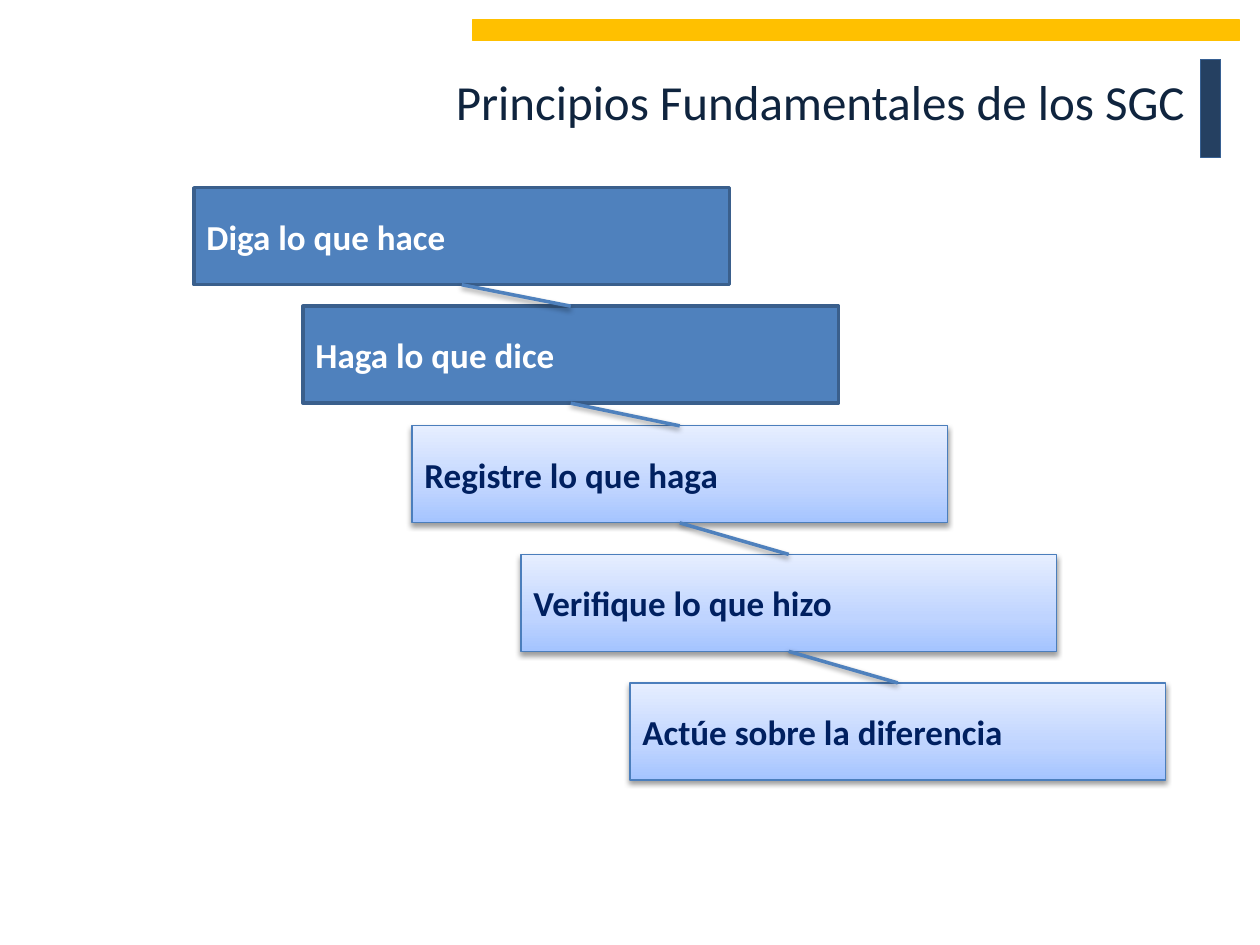
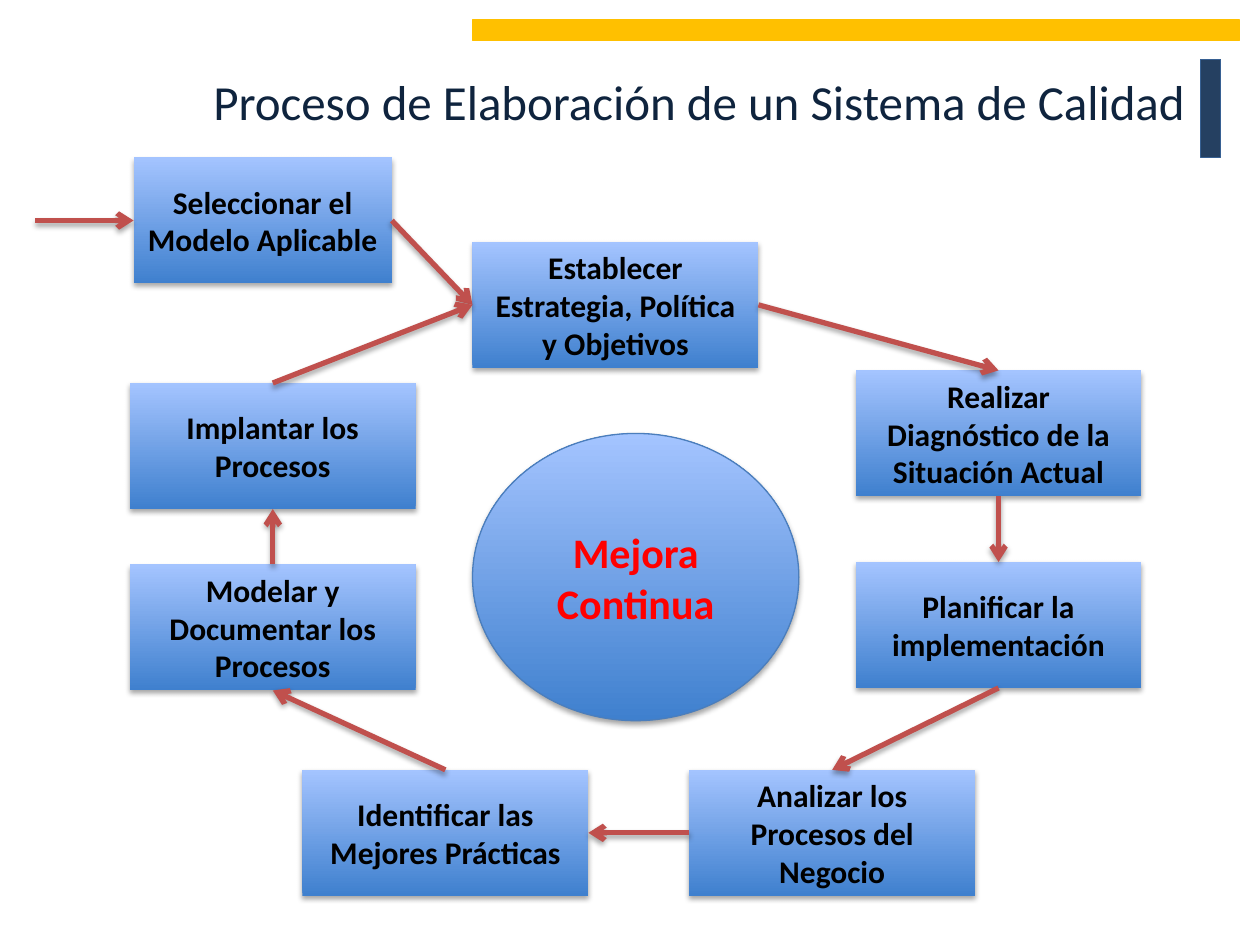
from lxml import etree
from pptx import Presentation
from pptx.dml.color import RGBColor
from pptx.enum.shapes import MSO_CONNECTOR, MSO_SHAPE
from pptx.enum.text import MSO_ANCHOR, PP_ALIGN
from pptx.oxml.ns import qn
from pptx.util import Inches, Pt

RECT, OVAL = MSO_SHAPE.RECTANGLE, MSO_SHAPE.OVAL
STRAIGHT = MSO_CONNECTOR.STRAIGHT
LEFT, CENTER, RIGHT = PP_ALIGN.LEFT, PP_ALIGN.CENTER, PP_ALIGN.RIGHT
TOP, MIDDLE = MSO_ANCHOR.TOP, MSO_ANCHOR.MIDDLE
SIDES = {"top": 0, "left": 1, "bottom": 2, "right": 3}

# Content
PRINCIPLES_TITLE = "Principios Fundamentales de los SGC"
PRINCIPLES = [  # text, top, look
    ("Diga lo que hace", 1.49, "solid"),
    ("Haga lo que dice", 2.43, "solid"),
    ("Registre lo que haga", 3.38, "pale"),
    ("Verifique lo que hizo", 4.40, "pale"),
    ("Actúe sobre la diferencia", 5.42, "pale"),
]
PROCESS_TITLE = "Proceso de Elaboración de un Sistema de Calidad"
PROCESS = {  # text, left, top, width
    "select": ("Seleccionar el Modelo Aplicable", 1.06, 1.25, 2.05),
    "strategy": ("Establecer Estrategia, Política y Objetivos", 3.75, 1.92, 2.27),
    "diagnosis": ("Realizar Diagnóstico de la Situación Actual", 6.79, 2.94, 2.27),
    "plan": ("Planificar la implementación", 6.79, 4.46, 2.27),
    "analysis": ("Analizar los Procesos del Negocio", 5.47, 6.11, 2.27),
    "practices": ("Identificar las Mejores Prácticas", 2.4, 6.11, 2.27),
    "model": ("Modelar y Documentar los Procesos", 1.03, 4.48, 2.27),
    "rollout": ("Implantar los Procesos", 1.03, 3.04, 2.27),
}
FLOW = [  # from, side, to, side
    ("select", "right", "strategy", "left"),
    ("strategy", "right", "diagnosis", "top"),
    ("diagnosis", "bottom", "plan", "top"),
    ("plan", "bottom", "analysis", "top"),
    ("analysis", "left", "practices", "right"),
    ("practices", "top", "model", "bottom"),
    ("model", "top", "rollout", "bottom"),
    ("rollout", "top", "strategy", "left"),
]
GOAL = "Mejora Continua"

# Shared style
FONT = "Calibri"
COLORS = {
    "title": "0F243E", "bar": "254061", "bar_line": "376092", "band": "FFC000",
    "blue": "4F81BD", "blue_line": "3A5F8C", "edge": "4B7EBC", "white": "FFFFFF",
    "navy": "002060", "black": "000000", "red": "FF0000", "arrow": "C0504D",
}
PALE = [(0, "A4C4FF"), (35, "BFD4FF"), (100, "E6EEFF")]
STRONG = [(0, "3F80CE"), (100, "A4C4FF")]
PALE_SHADOW, STRONG_SHADOW = (38, 1.6), (35, 1.8)  # opacity %, distance pt
STEP_LOOKS = {  # box format, text colour
    "solid": (dict(fill="blue", line=("blue_line", 2)), "white"),
    "pale": (dict(gradient=PALE, line=("edge", 0.75), shadow=PALE_SHADOW), "navy"),
}


def rgb(name):
    return RGBColor.from_string(COLORS[name])


def add_shadow(effects, opacity, distance):
    outer = etree.SubElement(
        effects, qn("a:outerShdw"), blurRad=str(Pt(3.1)), dist=str(Pt(distance)),
        dir="5400000", rotWithShape="0")
    color = etree.SubElement(outer, qn("a:srgbClr"), val=COLORS["black"])
    etree.SubElement(color, qn("a:alpha"), val=str(opacity * 1000))


def set_gradient(shape, stops):
    shape.fill.gradient()
    shape.fill.gradient_angle = 90
    stop_list = shape._element.spPr.find(qn("a:gradFill")).find(qn("a:gsLst"))
    for old_stop in list(stop_list):
        stop_list.remove(old_stop)
    for position, color in stops:
        stop = etree.SubElement(stop_list, qn("a:gs"), pos=str(position * 1000))
        etree.SubElement(stop, qn("a:srgbClr"), val=color)


def write(shape, text, *, size, color, bold=False, align=CENTER, anchor=MIDDLE):
    frame = shape.text_frame
    frame.word_wrap = True
    frame.vertical_anchor = anchor
    paragraph = frame.paragraphs[0]
    paragraph.alignment = align
    run = paragraph.add_run()
    run.text = text
    run.font.name, run.font.size, run.font.bold = FONT, Pt(size), bold
    run.font.color.rgb = rgb(color)


def add_box(slide, place, *, kind=RECT, fill=None, gradient=None, line=None, shadow=None):
    box = slide.shapes.add_shape(kind, *map(Inches, place))
    if gradient:
        set_gradient(box, gradient)
    else:
        box.fill.solid()
        box.fill.fore_color.rgb = rgb(fill)
    if line:
        box.line.color.rgb = rgb(line[0])
        box.line.width = Pt(line[1])
    else:
        box.line.fill.background()
    box.shadow.inherit = False
    if shadow:
        add_shadow(box._element.spPr.find(qn("a:effectLst")), *shadow)
    return box


def add_link(slide, target, side, *, source=None, source_side=None, start=(0, 0),
             color, width, shadow, arrow=False):
    x, y = map(Inches, start)
    link = slide.shapes.add_connector(STRAIGHT, x, y, x, y)
    if source is not None:
        link.begin_connect(source, SIDES[source_side])
    link.end_connect(target, SIDES[side])
    link.line.color.rgb = rgb(color)
    link.line.width = Pt(width)
    if arrow:
        etree.SubElement(link.line._get_or_add_ln(), qn("a:tailEnd"), type="arrow")
    add_shadow(etree.SubElement(link._element.spPr, qn("a:effectLst")), *shadow)


def add_titled_slide(deck, title):
    slide = deck.slides.add_slide(deck.slide_layouts[6])
    title_box = slide.shapes.add_textbox(*map(Inches, (0.5, 0.52, 9, 0.73)))
    write(title_box, title, size=28, color="title", align=RIGHT, anchor=TOP)
    add_box(slide, (9.53, 0.47, 0.16, 0.78), fill="bar", line=("bar_line", 0.75))
    add_box(slide, (3.75, 0.16, 6.09, 0.16), fill="band", line=("band", 0.75))
    return slide


def build_principles(deck):
    slide = add_titled_slide(deck, PRINCIPLES_TITLE)
    steps = []
    for index, (text, top, look) in enumerate(PRINCIPLES):
        box_format, text_color = STEP_LOOKS[look]
        step = add_box(slide, (1.54 + index * 0.865, top, 4.25, 0.77), **box_format)
        write(step, text, size=20, color=text_color, bold=True, align=LEFT)
        steps.append(step)
    for upper, lower in zip(steps, steps[1:]):
        add_link(slide, lower, "top", source=upper, source_side="bottom",
                 color="blue", width=2, shadow=PALE_SHADOW)


def build_process(deck):
    slide = add_titled_slide(deck, PROCESS_TITLE)
    stages = {}
    for key, (text, left, top, width) in PROCESS.items():
        stages[key] = add_box(slide, (left, top, width, 1),
                              gradient=STRONG, shadow=STRONG_SHADOW)
        write(stages[key], text, size=18, color="black", bold=True)

    # Goal in the middle of the cycle
    goal = add_box(slide, (3.75, 3.44, 2.59, 2.28), kind=OVAL, gradient=STRONG,
                   line=("edge", 0.75), shadow=STRONG_SHADOW)
    write(goal, GOAL, size=24, color="red", bold=True)

    # Entry arrow, then the flow between stages
    arrow_format = dict(color="arrow", width=3, shadow=STRONG_SHADOW, arrow=True)
    add_link(slide, stages["select"], "left", start=(0.28, 1.75), **arrow_format)
    for source, source_side, target, side in FLOW:
        add_link(slide, stages[target], side, source=stages[source],
                 source_side=source_side, **arrow_format)


def main():
    deck = Presentation()
    deck.slide_width, deck.slide_height = Inches(10), Inches(7.5)
    build_principles(deck)
    build_process(deck)
    deck.save("out.pptx")


if __name__ == "__main__":
    main()
